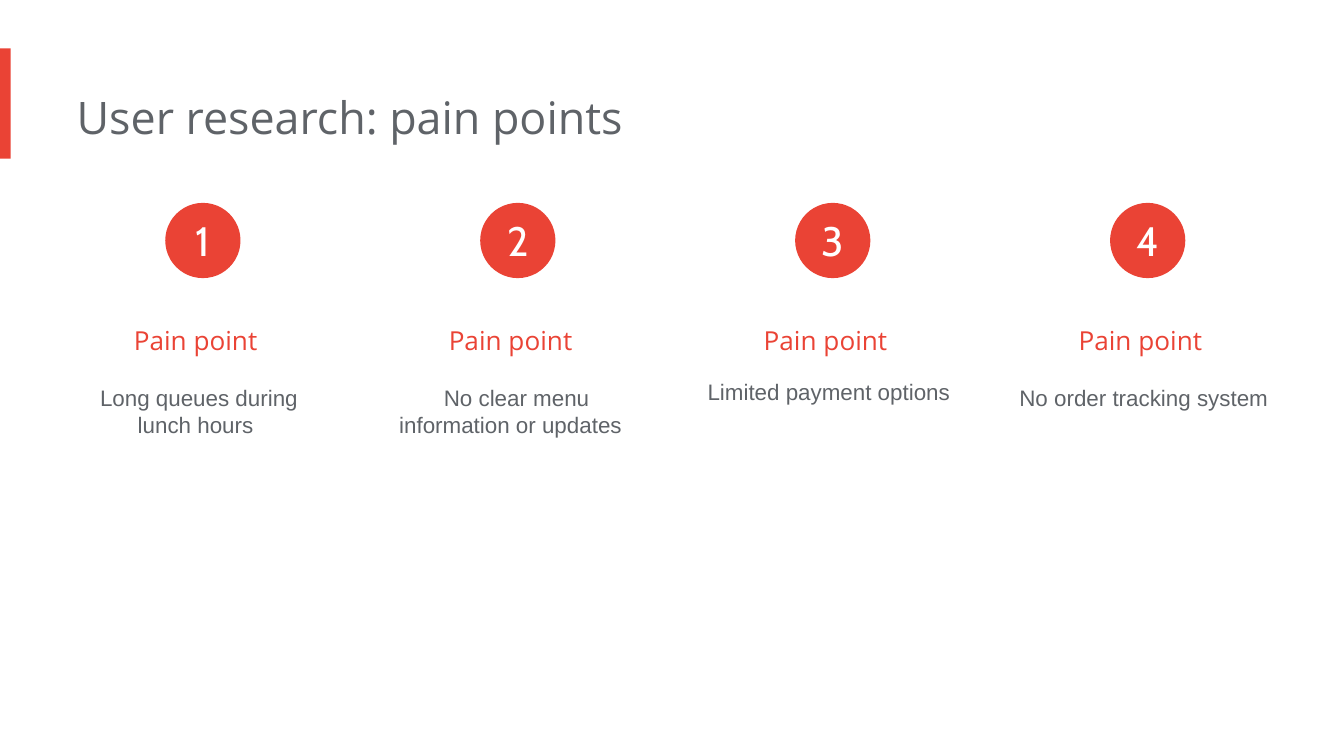
from dataclasses import dataclass

import pptx
import pptx.dml.color
import pptx.enum.shapes
import pptx.enum.text
import pptx.util

Inches = pptx.util.Inches
Pt = pptx.util.Pt
ALIGN = pptx.enum.text.PP_ALIGN
ANCHOR = pptx.enum.text.MSO_ANCHOR
SHAPE = pptx.enum.shapes.MSO_SHAPE


@dataclass(frozen=True)
class Theme:
    accent: str = "EA4335"
    text: str = "5F6368"
    white: str = "FFFFFF"
    heading_font: str = "Open Sans"
    body_font: str = "Arial"
    number_font: str = "Cabin"
    title_size: int = 24
    number_size: int = 22
    heading_size: int = 14
    body_size: int = 12


@dataclass(frozen=True)
class PainPoint:
    description: str
    height: float
    indent: float = 0.05
    spacing: float = 1.0


THEME = Theme()
TITLE = "User research: pain points"
HEADING = "Pain point"
PAIN_POINTS = [
    PainPoint("Long queues during lunch hours", 1.65),
    PainPoint("No clear menu information or updates", 1.07, indent=0.09),
    PainPoint("Limited payment options", 0.54, spacing=Pt(11.2)),
    PainPoint("No order tracking system", 0.64),
]
COLUMN_WIDTH = 2.05


def color(value):
    return pptx.dml.color.RGBColor.from_string(value)


def write(shape, text, font, size, text_color, align=ALIGN.CENTER,
          anchor=ANCHOR.TOP, margins=(0, 0.1, 0.1, 0.1)):
    """Fill a shape with one formatted paragraph and return the paragraph."""
    frame = shape.text_frame
    frame.text = text
    frame.word_wrap = True
    frame.auto_size = pptx.enum.text.MSO_AUTO_SIZE.NONE
    frame.vertical_anchor = anchor
    (frame.margin_left, frame.margin_top,
     frame.margin_right, frame.margin_bottom) = map(Inches, margins)
    paragraph = frame.paragraphs[0]
    paragraph.alignment = align
    run_font = paragraph.runs[0].font
    run_font.name = font
    run_font.size = Pt(size)
    run_font.color.rgb = color(text_color)
    return paragraph


def add_accent_shape(slide, kind, left, top, width, height):
    shape = slide.shapes.add_shape(
        kind, Inches(left), Inches(top), Inches(width), Inches(height))
    shape.shadow.inherit = False
    shape.fill.solid()
    shape.fill.fore_color.rgb = color(THEME.accent)
    shape.line.fill.background()
    return shape


def add_text_box(slide, left, top, width, height):
    return slide.shapes.add_textbox(
        Inches(left), Inches(top), Inches(width), Inches(height))


def add_header(slide, left, top, width, height):
    """Place the edge bar and the title."""
    add_accent_shape(slide, SHAPE.RECTANGLE, left, top, 0.08, height)
    title = slide.shapes.title
    title.left, title.top = Inches(left + 0.57), Inches(top + 0.21)
    title.width, title.height = Inches(width), Inches(0.61)
    write(title, TITLE, THEME.heading_font, THEME.title_size, THEME.text,
          align=ALIGN.LEFT)


def add_pain_point(slide, left, top, width, number, point):
    circle = add_accent_shape(
        slide, SHAPE.OVAL, left + 0.75, top, 0.56, 0.56)
    write(circle, str(number), THEME.number_font, THEME.number_size,
          THEME.white, anchor=ANCHOR.MIDDLE, margins=(0, 0, 0, 0))

    heading = write(add_text_box(slide, left, top + 0.69, width, 0.44),
                    HEADING, THEME.heading_font, THEME.heading_size,
                    THEME.accent)
    heading.line_spacing = 1.5

    body = write(add_text_box(slide, left, top + 1.25, width, point.height),
                 point.description, THEME.body_font, THEME.body_size,
                 THEME.text)
    body.line_spacing = point.spacing
    # First-line indent has no public method
    properties = body._p.get_or_add_pPr()
    properties.set("marL", "0")
    properties.set("indent", str(Inches(point.indent)))


def add_pain_points(slide, left, top, width):
    """Spread the columns evenly across the given width."""
    pitch = (width - COLUMN_WIDTH) / (len(PAIN_POINTS) - 1)
    for index, point in enumerate(PAIN_POINTS):
        add_pain_point(slide, left + index * pitch, top, COLUMN_WIDTH,
                       index + 1, point)


def main():
    presentation = pptx.Presentation()
    presentation.slide_width = Inches(10)
    presentation.slide_height = Inches(10 * 9 / 16)
    slide = presentation.slides.add_slide(
        presentation.slide_layouts.get_by_name("Title Only"))
    slide.background.fill.solid()
    slide.background.fill.fore_color.rgb = color(THEME.white)
    add_header(slide, 0, 0.36, 6.73, 0.82)
    add_pain_points(slide, 0.48, 1.51, 9.08)
    presentation.save("out.pptx")


if __name__ == "__main__":
    main()
